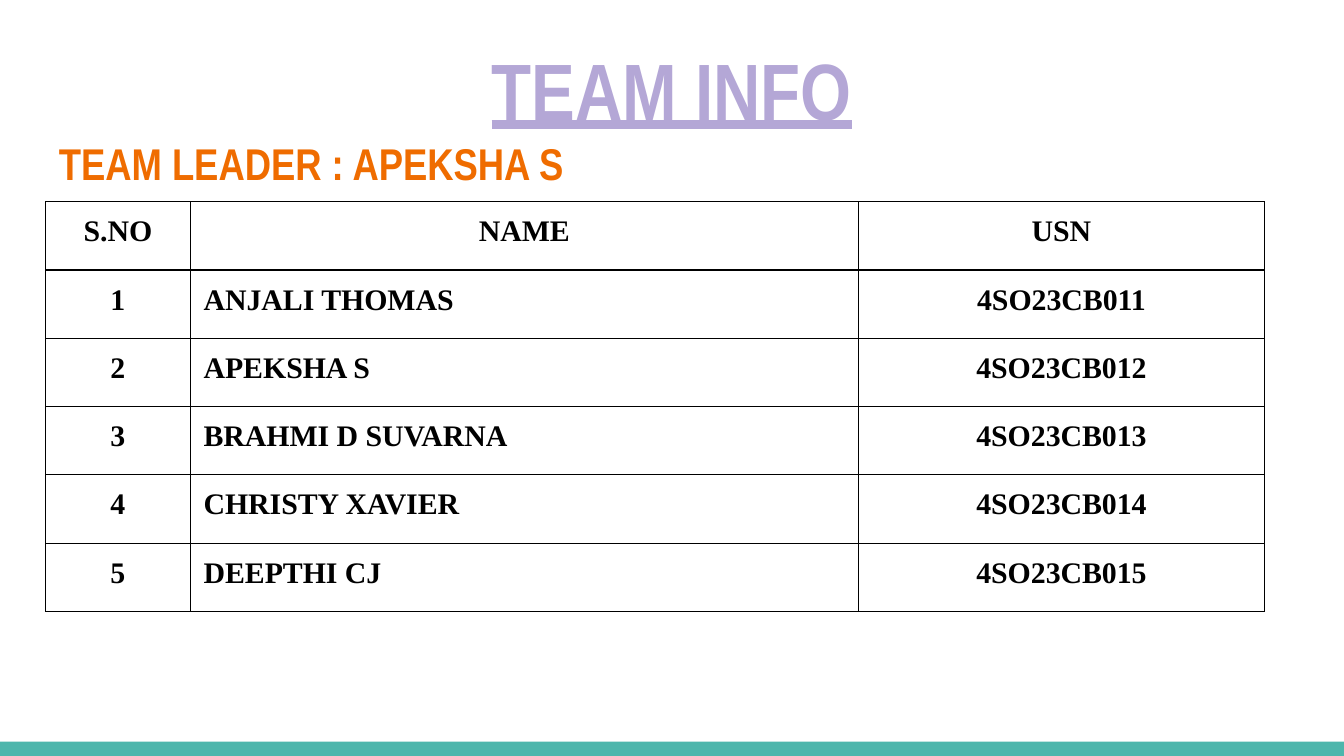
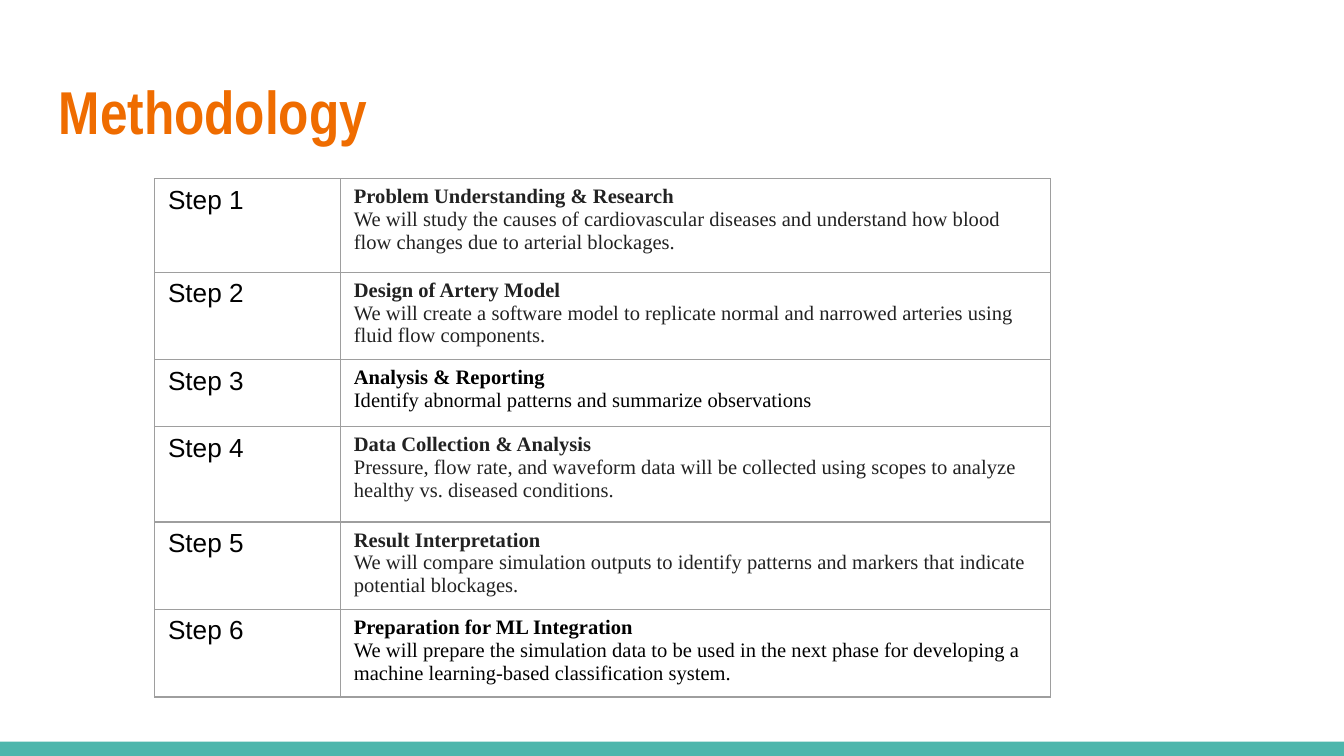
from lxml.etree import SubElement
from pptx import Presentation
from pptx.dml.color import RGBColor
from pptx.enum.shapes import MSO_SHAPE
from pptx.enum.text import MSO_ANCHOR, PP_ALIGN
from pptx.oxml.ns import qn
from pptx.util import Pt

WIDTH, HEIGHT = 720, 405
BAND_HEIGHT = 7.6
MARGIN = 24.5
TEAL, ORANGE, LILAC = "4DB6AC", "EF6C00", "B4A7D6"
BLACK, CHARCOAL, GRAY = "000000", "222222", "9E9E9E"
NARROW, SERIF, SANS = "Arial Narrow", "Times New Roman", "Arial"
LEFT, CENTER = PP_ALIGN.LEFT, PP_ALIGN.CENTER

MEMBERS = [
    ("ANJALI THOMAS", "4SO23CB011"),
    ("APEKSHA S", "4SO23CB012"),
    ("BRAHMI D SUVARNA", "4SO23CB013"),
    ("CHRISTY XAVIER", "4SO23CB014"),
    ("DEEPTHI CJ", "4SO23CB015"),
]

STEPS = [
    (50, CHARCOAL, "Problem Understanding & Research",
     "We will study the causes of cardiovascular diseases and understand how blood "
     "flow changes due to arterial blockages."),
    (44, CHARCOAL, "Design of Artery Model",
     "We will create a software model to replicate normal and narrowed arteries using "
     "fluid flow components."),
    (36, BLACK, "Analysis & Reporting",
     "Identify abnormal patterns and summarize observations"),
    (51, CHARCOAL, "Data Collection & Analysis",
     "Pressure, flow rate, and waveform data will be collected using scopes to analyze "
     "healthy vs. diseased conditions."),
    (44, CHARCOAL, "Result Interpretation",
     "We will compare simulation outputs to identify patterns and markers that indicate "
     "potential blockages."),
    (44, BLACK, "Preparation for ML Integration",
     "We will prepare the simulation data to be used in the next phase for developing a "
     "machine learning-based classification system."),
]


def color(value):
    """Turn a hex string into a colour."""
    return RGBColor.from_string(value)


def write(frame, text, first=True, font=SERIF, size=16, ink=BLACK, bold=False,
          underline=False, align=LEFT):
    """Write one formatted paragraph into a text frame."""
    para = frame.paragraphs[0] if first else frame.add_paragraph()
    para.alignment = align
    span = para.add_run()
    span.text = text
    span.font.name = font
    span.font.size = Pt(size)
    span.font.bold = bold
    span.font.underline = underline
    span.font.color.rgb = color(ink)


def set_insets(target, across, down):
    """Set the inner margins of a cell or text frame."""
    target.margin_left = target.margin_right = Pt(across)
    target.margin_top = target.margin_bottom = Pt(down)


def add_page(deck):
    """Add a white page with the teal band at its foot."""
    page = deck.slides.add_slide(deck.slide_layouts[6])
    page.background.fill.solid()
    page.background.fill.fore_color.rgb = color("FFFFFF")
    band = page.shapes.add_shape(MSO_SHAPE.RECTANGLE, Pt(0), Pt(HEIGHT - BAND_HEIGHT),
                                 Pt(WIDTH), Pt(BAND_HEIGHT))
    band.shadow.inherit = False
    band.fill.solid()
    band.fill.fore_color.rgb = color(TEAL)
    band.line.fill.background()
    return page


def add_title_frame(page, top, height):
    """Add the title box and return its text frame."""
    box = page.shapes.add_textbox(Pt(MARGIN), Pt(top), Pt(WIDTH - 2 * MARGIN), Pt(height))
    frame = box.text_frame
    frame.word_wrap = True
    frame.vertical_anchor = MSO_ANCHOR.TOP
    set_insets(frame, 7.2, 7.2)
    return frame


def set_borders(cell, ink):
    """Draw a thin line on all four sides of a cell."""
    properties = cell._tc.get_or_add_tcPr()
    for side in ("a:lnL", "a:lnR", "a:lnT", "a:lnB"):
        line = SubElement(properties, qn(side), w=str(Pt(0.75)))
        fill = SubElement(line, qn("a:solidFill"))
        SubElement(fill, qn("a:srgbClr"), val=ink)


def add_grid(page, left, top, widths, heights, ink, inset_down):
    """Add an unfilled bordered table and return it."""
    table = page.shapes.add_table(len(heights), len(widths), Pt(left), Pt(top),
                                  Pt(sum(widths)), Pt(sum(heights))).table
    table.first_row = table.horz_banding = False
    for column, width in zip(table.columns, widths):
        column.width = Pt(width)
    for row, height in zip(table.rows, heights):
        row.height = Pt(height)
    for cell in table.iter_cells():
        set_borders(cell, ink)
        cell.fill.background()
        set_insets(cell, 7.2, inset_down)
    return table


def build_team(deck):
    """Build the page that lists the team."""
    page = add_page(deck)
    frame = add_title_frame(page, 14.4, 76.3)
    write(frame, "TEAM INFO", font=NARROW, size=42.8, ink=LILAC, bold=True,
          underline=True, align=CENTER)
    write(frame, "TEAM LEADER : APEKSHA S", first=False, font=NARROW, size=23.8,
          ink=ORANGE, bold=True)

    rows = [("S.NO", "NAME", "USN")]
    rows += [(str(number), *member) for number, member in enumerate(MEMBERS, 1)]
    table = add_grid(page, MARGIN, 108, (77.4, 358, 217.6), [36.6] * len(rows), BLACK, 7.2)
    for r, row in enumerate(rows):
        for c, text in enumerate(row):
            align = LEFT if r and c == 1 else CENTER
            write(table.cell(r, c).text_frame, text, bold=True, align=align)


def build_methodology(deck):
    """Build the page that lists the project steps."""
    page = add_page(deck)
    write(add_title_frame(page, 32.4, 55.4), "Methodology", font=NARROW, size=32.4,
          ink=ORANGE, bold=True)

    heights = [step[0] for step in STEPS]
    table = add_grid(page, 82.8, 95.8, (99.6, 380.4), heights, GRAY, 3.6)
    for r, (_, ink, heading, detail) in enumerate(STEPS):
        write(table.cell(r, 0).text_frame, f"Step {r + 1}", font=SANS, size=14)
        frame = table.cell(r, 1).text_frame
        write(frame, heading, size=11, ink=ink, bold=True)
        write(frame, detail, first=False, size=11, ink=ink)


def main():
    """Build and save the deck."""
    deck = Presentation()
    deck.slide_width, deck.slide_height = Pt(WIDTH), Pt(HEIGHT)
    build_team(deck)
    build_methodology(deck)
    deck.save("out.pptx")


if __name__ == "__main__":
    main()
